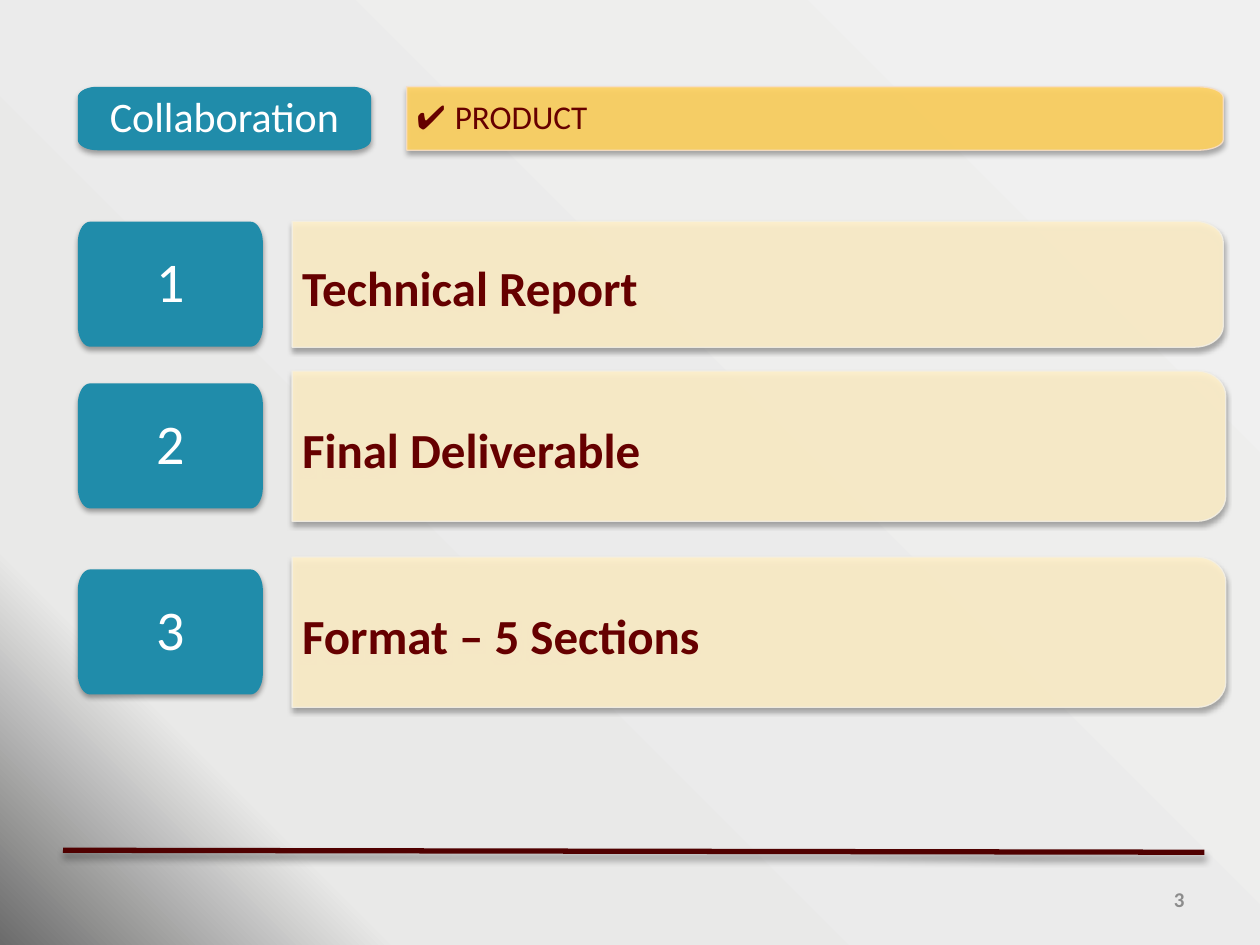
"""Build the Collaboration / Product slide with three numbered deliverables."""
from dataclasses import dataclass
from math import cos, pi, sin

from lxml.etree import SubElement
from pptx import Presentation
from pptx.dml.color import RGBColor
from pptx.enum.shapes import MSO_CONNECTOR
from pptx.enum.text import MSO_ANCHOR, PP_ALIGN
from pptx.oxml import parse_xml
from pptx.oxml.ns import nsdecls, qn
from pptx.util import Cm, Pt

TEAL = RGBColor(0x20, 0x8C, 0xAA)
GOLD = RGBColor(0xFF, 0xD2, 0x5F)
GOLD_EDGE = RGBColor(0xF7, 0xDE, 0xC6)
CREAM = RGBColor(0xFF, 0xF0, 0xCA)
CREAM_EDGE = RGBColor(0xF3, 0xEF, 0xE4)
MAROON = RGBColor(0x66, 0x00, 0x00)
DARK_RED = RGBColor(0x50, 0x00, 0x00)
WHITE = RGBColor(0xFF, 0xFF, 0xFF)
GREY = RGBColor(0x8C, 0x8C, 0x8C)
BACKGROUND_STOPS = ((0, "F0F0F0"), (82, "E9E9E8"), (100, "6B6B6B"))

TAB_LEFT = 1.57
PANEL_LEFT = 5.89
NUMBER_WIDTH, NUMBER_HEIGHT = 3.73, 2.52
TAB_INSETS = (0.53, 0.36, 0.53, 0.36)
PANEL_INSETS = (0.2, 0.25, 0.36, 0.25)


@dataclass(frozen=True)
class Row:
    text: str
    number_top: float
    panel_top: float
    panel_width: float
    panel_height: float


ROWS = (
    Row("Technical Report", 4.47, 4.46, 18.77, 2.54),
    Row("Final Deliverable", 7.73, 7.48, 18.82, 3.03),
    Row("Format – 5 Sections", 11.48, 11.23, 18.82, 3.03),
)


def add_shadow(shape, blur: float, distance: float, opacity: int) -> None:
    shape._element.spPr.append(parse_xml(
        f'<a:effectLst {nsdecls("a")}><a:outerShdw blurRad="{Pt(blur)}" '
        f'dist="{Pt(distance)}" dir="5400000" rotWithShape="0"><a:srgbClr val="000000">'
        f'<a:alpha val="{opacity * 1000}"/></a:srgbClr></a:outerShdw></a:effectLst>'))


def make_translucent(fill_parent) -> None:
    color = fill_parent.find(qn("a:solidFill"))[0]
    SubElement(color, qn("a:alpha")).set("val", "90000")


def write(box, text: str, *, size: float, color: RGBColor, insets: tuple,
          font: str = "Calibri", bold: bool = False, spacing: float = 1.0,
          align: PP_ALIGN = PP_ALIGN.LEFT):
    frame = box.text_frame
    frame.word_wrap = True
    frame.vertical_anchor = MSO_ANCHOR.MIDDLE
    frame.margin_left, frame.margin_top, frame.margin_right, frame.margin_bottom = map(Cm, insets)
    para = frame.paragraphs[0]
    para.alignment, para.line_spacing = align, spacing
    span = para.add_run()
    span.text = text
    span.font.name, span.font.size, span.font.bold = font, Pt(size), bold
    span.font.color.rgb = color


def add_rounded(page, left: float, top: float, width: float, height: float,
                fill: RGBColor, edge: RGBColor | None = None):
    radius_x, radius_y = width / (32 if edge else 15), height / 6
    right, bottom = left + width, top + height
    corners = [(right - radius_x, top + radius_y, -90), (right - radius_x, bottom - radius_y, 0)]
    if edge is None:
        corners += [(left + radius_x, bottom - radius_y, 90), (left + radius_x, top + radius_y, 180)]
    points = [
        (Cm(x + radius_x * cos(angle * pi / 180)), Cm(y + radius_y * sin(angle * pi / 180)))
        for x, y, start in corners for angle in range(start, start + 91, 10)
    ]
    if edge is not None:
        points += [(Cm(left), Cm(bottom)), (Cm(left), Cm(top))]
    builder = page.shapes.build_freeform(*points[0], scale=1.0)
    builder.add_line_segments(points[1:], close=True)
    box = builder.convert_to_shape()
    box.fill.solid()
    box.fill.fore_color.rgb = fill
    if edge is None:
        box.line.fill.background()
    else:
        box.line.color.rgb = edge
        box.line.width = Pt(0.75)
        make_translucent(box._element.spPr)
        make_translucent(box._element.spPr.find(qn("a:ln")))
    add_shadow(box, 3.1, 1.8, 35)
    return box


def paint_background(page) -> None:
    page.background.fill.solid()
    properties = page._element.cSld.find(qn("p:bg")).find(qn("p:bgPr"))
    stops = "".join(f'<a:gs pos="{position * 1000}"><a:srgbClr val="{color}"/></a:gs>'
                    for position, color in BACKGROUND_STOPS)
    properties.replace(properties.find(qn("a:solidFill")), parse_xml(
        f'<a:gradFill {nsdecls("a")} rotWithShape="1"><a:gsLst>{stops}</a:gsLst>'
        '<a:path path="circle"><a:fillToRect l="100000" b="100000"/></a:path></a:gradFill>'))


def add_footer(page) -> None:
    rule = page.shapes.add_connector(
        MSO_CONNECTOR.STRAIGHT, Cm(1.27), Cm(17.14), Cm(24.28), Cm(17.18))
    rule.line.color.rgb = DARK_RED
    rule.line.width = Pt(3)
    add_shadow(rule, 4, 3, 40)
    box = page.shapes.add_textbox(Cm(18.2), Cm(17.63), Cm(5.93), Cm(1.01))
    write(box, "3", size=12, color=GREY, bold=True, align=PP_ALIGN.RIGHT,
          insets=(0.25, 0.13, 0.25, 0.13))


def add_header(page) -> None:
    tab = add_rounded(page, TAB_LEFT, 1.75, 5.91, 1.28, TEAL)
    write(tab, "Collaboration", size=24, color=WHITE, insets=TAB_INSETS,
          spacing=0.9, align=PP_ALIGN.CENTER)
    banner = add_rounded(page, 8.2, 1.75, 16.46, 1.28, GOLD, GOLD_EDGE)
    for text, font in (("✔ ", "Arial"), ("PRODUCT", "Calibri")):
        write(banner, text, size=19, color=MAROON, insets=PANEL_INSETS, font=font, spacing=0.9)


def add_row(page, number: int, row: Row) -> None:
    panel = add_rounded(page, PANEL_LEFT, row.panel_top, row.panel_width, row.panel_height,
                        CREAM, CREAM_EDGE)
    write(panel, row.text, size=28, color=MAROON, insets=PANEL_INSETS, bold=True, spacing=1.1)
    tab = add_rounded(page, TAB_LEFT, row.number_top, NUMBER_WIDTH, NUMBER_HEIGHT, TEAL)
    write(tab, str(number), size=32, color=WHITE, insets=TAB_INSETS,
          spacing=0.9, align=PP_ALIGN.CENTER)


def main() -> None:
    deck = Presentation()
    deck.slide_width, deck.slide_height = Cm(25.4), Cm(19.05)
    page = deck.slides.add_slide(deck.slide_layouts[6])
    paint_background(page)
    add_footer(page)
    add_header(page)
    for number, row in enumerate(ROWS, start=1):
        add_row(page, number, row)
    deck.save("out.pptx")


main()
